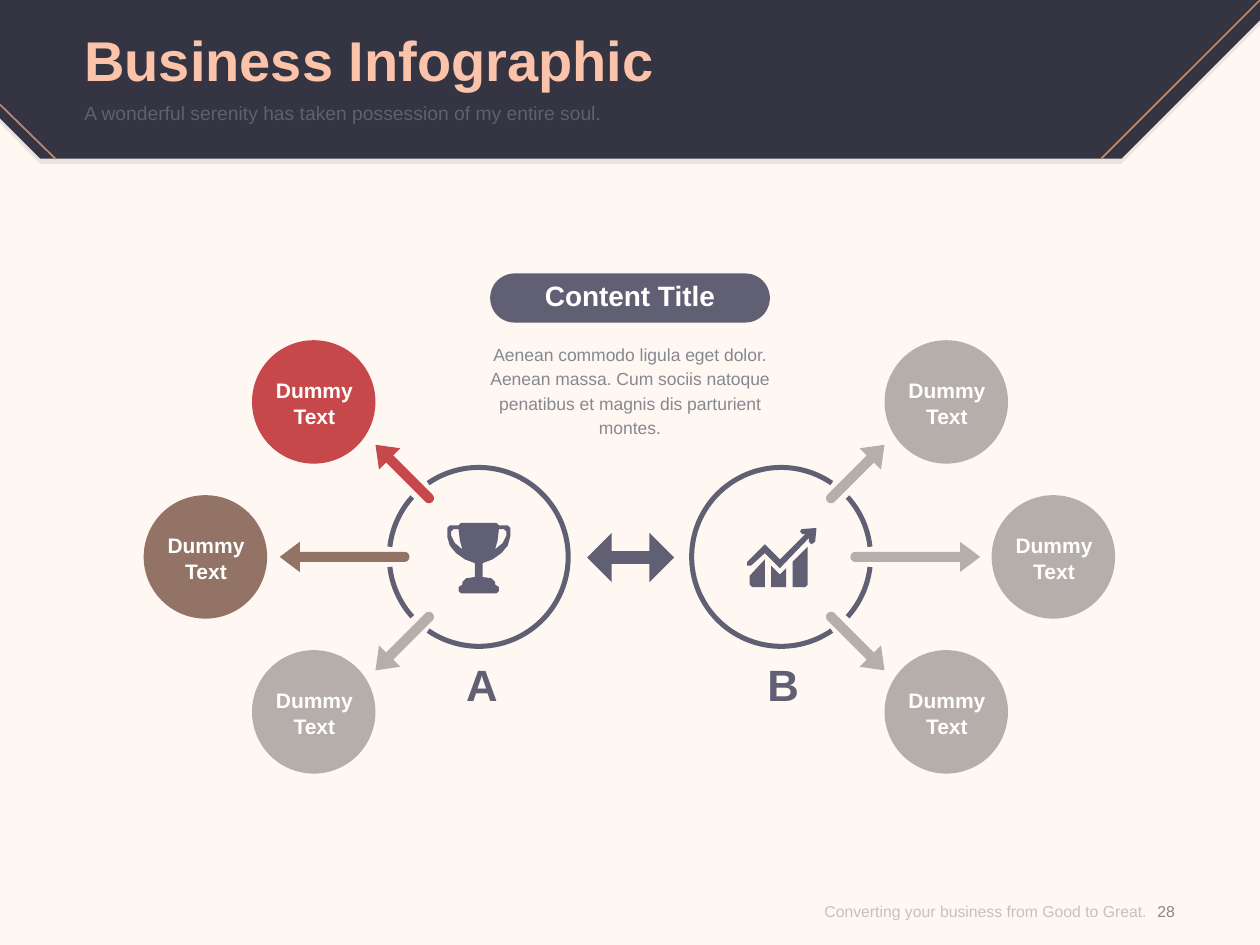
import math

import pptx
import pptx.dml.color
import pptx.enum.shapes
import pptx.enum.text
import pptx.oxml
import pptx.oxml.ns
import pptx.util
from pptx.util import Inches

COLORS = {
    "paper": "FFF7F2", "navy": "343442", "copper": "BF896E", "peach": "FBC4AA",
    "slate": "605F73", "red": "C7484A", "brown": "927365", "stone": "B6AEAB",
    "white": "FFFFFF", "gray": "85898F", "footer": "8C8C8C",
}
RGB = {name: pptx.dml.color.RGBColor.from_string(code) for name, code in COLORS.items()}
SHAPES = pptx.enum.shapes.MSO_SHAPE
ALIGN = pptx.enum.text.PP_ALIGN
ANCHOR = pptx.enum.text.MSO_ANCHOR

deck = pptx.Presentation()
deck.slide_width, deck.slide_height = Inches(10), Inches(7.5)
page = deck.slides.add_slide(deck.slide_layouts[6])
page.background.fill.solid()
page.background.fill.fore_color.rgb = RGB["paper"]


def add_filled(color, contours=None, preset=None, place=None):
    """Add a plain shape from closed contours or from a preset, in inches."""
    if contours:
        contours = [[(Inches(x), Inches(y)) for x, y in points] for points in contours]
        builder = page.shapes.build_freeform(*contours[0][0])
        for number, points in enumerate(contours):
            if number:
                builder.move_to(*points[0])
            builder.add_line_segments(points[1:], close=True)
        shape = builder.convert_to_shape()
    else:
        shape = page.shapes.add_shape(preset, *map(Inches, place))
    shape.shadow.inherit = False
    shape.fill.solid()
    shape.fill.fore_color.rgb = RGB[color]
    shape.line.fill.background()
    return shape


def add_text(text, place, size, color, bold=False, align=ALIGN.CENTER, anchor=ANCHOR.MIDDLE):
    box = page.shapes.add_textbox(*map(Inches, place))
    frame = box.text_frame
    frame.word_wrap = True
    frame.vertical_anchor = anchor
    frame.margin_left = frame.margin_right = frame.margin_top = frame.margin_bottom = 0
    frame.text = text
    para = frame.paragraphs[0]
    para.alignment = align
    font = para.runs[0].font
    font.name, font.size, font.bold = "Arial", pptx.util.Pt(size), bold
    font.color.rgb = RGB[color]
    return box


# Header band with its soft shade
band = [(0, 0), (10, 0), (10, 0.16), (8.9, 1.26), (0.32, 1.26), (0, 0.94)]
shade = add_filled("navy", [[(x, y + 0.04) for x, y in band]])
add_filled("navy", [band])
for ends in ((10, 0, 8.74, 1.26), (0.44, 1.26, 0, 0.83)):
    accent = page.shapes.add_connector(
        pptx.enum.shapes.MSO_CONNECTOR.STRAIGHT, *map(Inches, ends))
    accent.line.color.rgb = RGB["copper"]
    accent.line.width = pptx.util.Pt(1)
    accent._element.spPr.append(pptx.oxml.parse_xml(
        "<a:effectLst %s/>" % pptx.oxml.ns.nsdecls("a")))

# Header and footer text
add_text("Business Infographic", (0.67, 0.14, 8.66, 0.65), 32, "peach", True, ALIGN.LEFT)
add_text("A wonderful serenity has taken possession of my entire soul.",
         (0.67, 0.8, 8.66, 0.39), 11, "slate", False, ALIGN.LEFT, ANCHOR.TOP)
footer = add_text("Converting your business from Good to Great.",
                  (6.04, 6.96, 3.06, 0.54), 9, "footer", False, ALIGN.RIGHT)
add_text("28", (9.02, 6.96, 0.47, 0.54), 9, "gray")

# Transparency of the shade and the footer
for part, percent in ((shade, 10), (footer, 50)):
    for color in list(part._element.iter(pptx.oxml.ns.qn("a:srgbClr"))):
        color.append(pptx.oxml.parse_xml(
            '<a:alpha %s val="%d"/>' % (pptx.oxml.ns.nsdecls("a"), percent * 1000)))

# Hubs: broken rings, opened towards the outer side where the arrows pass
middle = 4.42
for letter, center, side, letter_left in (("A", 3.8, -1, 3.4), ("B", 6.2, 1, 5.79)):
    arcs = []
    for first, last in ((-42, -6.5), (6.5, 42), (55.5, 304.5)):
        steps = math.ceil((last - first) / 3)
        angles = [math.radians(first + (last - first) * i / steps) for i in range(steps + 1)]
        rim = [(0.73, a) for a in angles] + [(0.69, a) for a in reversed(angles)]
        arcs.append([(center + side * r * math.cos(a), middle + r * math.sin(a))
                     for r, a in rim])
    add_filled("slate", arcs)
    add_text(letter, (letter_left, 5.22, 0.85, 0.42), 25, "slate", True)

# Double arrow between the hubs
double_arrow = add_filled("slate", preset=SHAPES.LEFT_RIGHT_ARROW, place=(4.66, 4.23, 0.69, 0.39))
double_arrow.adjustments[0], double_arrow.adjustments[1] = 0.26, 0.5

# Arrows with a round tail: tip, direction in degrees, length, colour
arrows = [
    (2.98, 3.53, 225, 0.64, "red"), (2.22, 4.42, 180, 1.03, "brown"),
    (2.98, 5.32, 135, 0.64, "stone"), (7.02, 3.53, 315, 0.64, "stone"),
    (7.78, 4.42, 0, 1.03, "stone"), (7.02, 5.32, 45, 0.64, "stone"),
]
half_shaft, half_head, head = 0.04, 0.12, 0.16
for tip_x, tip_y, degrees, length, color in arrows:
    tail = [(half_shaft - length - half_shaft * math.sin(math.radians(a)),
             half_shaft * math.cos(math.radians(a))) for a in range(0, 181, 15)]
    outline = [(0, 0), (-head, half_head), (-head, half_shaft), *tail,
               (-head, -half_shaft), (-head, -half_head)]
    cos, sin = math.cos(math.radians(degrees)), math.sin(math.radians(degrees))
    add_filled(color, [[(tip_x + x * cos - y * sin, tip_y + x * sin + y * cos)
                        for x, y in outline]])

# Trophy icon: the left half is mirrored about the hub centre
cup = [(3.66, 4.15), (3.64, 4.17), (3.57, 4.17), (3.55, 4.19), (3.55, 4.26), (3.57, 4.33),
       (3.62, 4.39), (3.69, 4.44), (3.77, 4.47), (3.77, 4.58), (3.7, 4.59), (3.67, 4.62),
       (3.67, 4.64), (3.64, 4.66), (3.64, 4.69), (3.66, 4.71)]
handle = [(3.58, 4.25), (3.58, 4.22), (3.6, 4.2), (3.64, 4.2), (3.65, 4.29),
          (3.67, 4.36), (3.61, 4.31)]
mirrored_cup, mirrored_handle = ([(7.6 - x, y) for x, y in half] for half in (cup, handle))
add_filled("slate", [cup + mirrored_cup[::-1], handle, mirrored_handle])

# Growth icon: three bars and a rising arrow
add_filled("slate", [
    [(5.95, 4.57), (6.07, 4.44), (6.07, 4.66), (5.97, 4.66), (5.95, 4.64)],
    [(6.12, 4.49), (6.19, 4.56), (6.24, 4.51), (6.24, 4.66), (6.12, 4.66)],
    [(6.29, 4.46), (6.41, 4.34), (6.41, 4.64), (6.39, 4.66), (6.29, 4.66)],
    [(6.36, 4.2), (6.48, 4.19), (6.47, 4.3), (6.44, 4.32), (6.42, 4.3), (6.42, 4.27),
     (6.19, 4.51), (6.07, 4.39), (5.96, 4.49), (5.93, 4.49), (5.93, 4.46), (6.07, 4.32),
     (6.19, 4.44), (6.39, 4.24), (6.37, 4.24), (6.35, 4.22)],
])

# Outer circles with labels
circles = [(2, 2.7, "red"), (1.14, 3.93, "brown"), (2, 5.16, "stone"),
           (7.02, 2.7, "stone"), (7.87, 3.93, "stone"), (7.02, 5.16, "stone")]
for left, top, color in circles:
    add_filled(color, preset=SHAPES.OVAL, place=(left, top, 0.98, 0.98))
    add_text("Dummy Text", (left + 0.05, top + 0.3, 0.89, 0.4), 12, "white", True)

# Content title pill and description
pill = add_filled("slate", preset=SHAPES.ROUNDED_RECTANGLE, place=(3.89, 2.17, 2.22, 0.39))
pill.adjustments[0] = 0.5
add_text("Content Title", (3.91, 2.21, 2.18, 0.27), 16, "white", True)
description = add_text(
    "Aenean commodo ligula eget dolor. Aenean massa. Cum sociis natoque "
    "penatibus et magnis dis parturient montes.",
    (3.78, 2.7, 2.44, 0.79), 10, "gray", anchor=ANCHOR.TOP)
description.text_frame.paragraphs[0].line_spacing = pptx.util.Pt(14)

deck.save("out.pptx")
